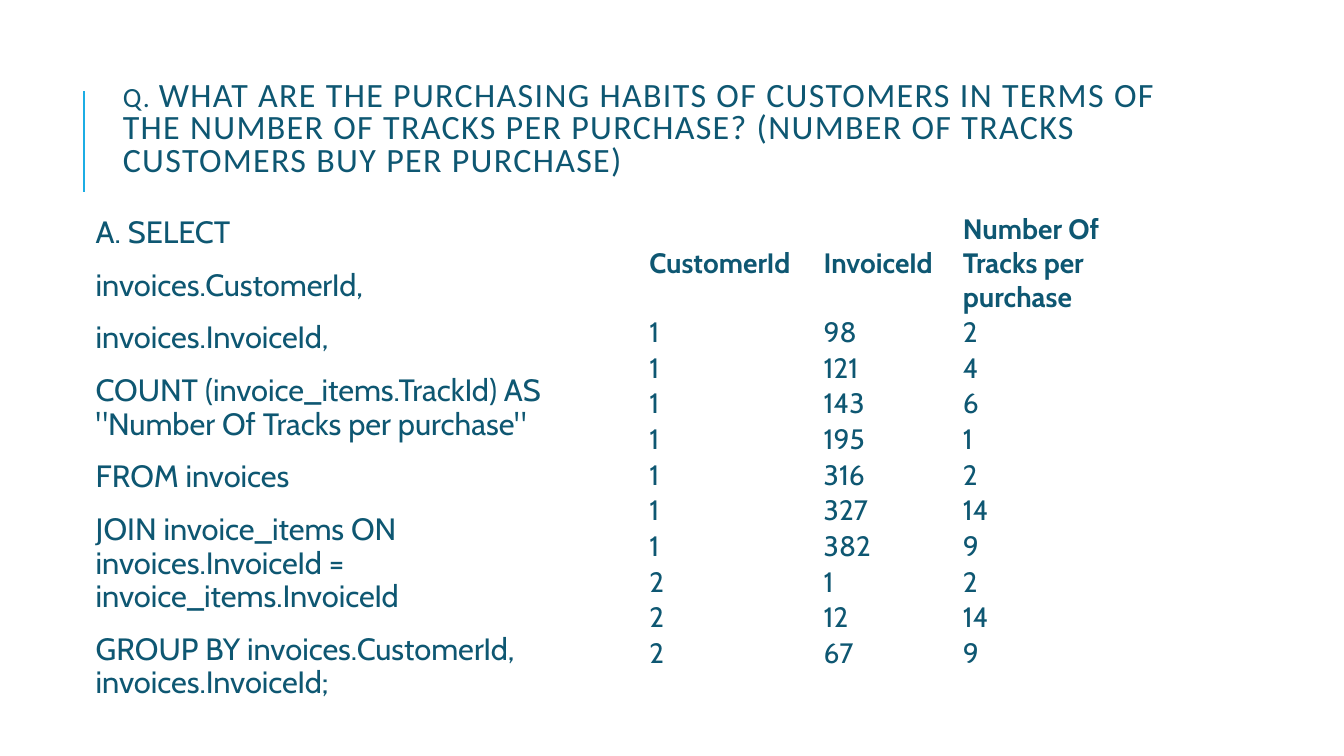
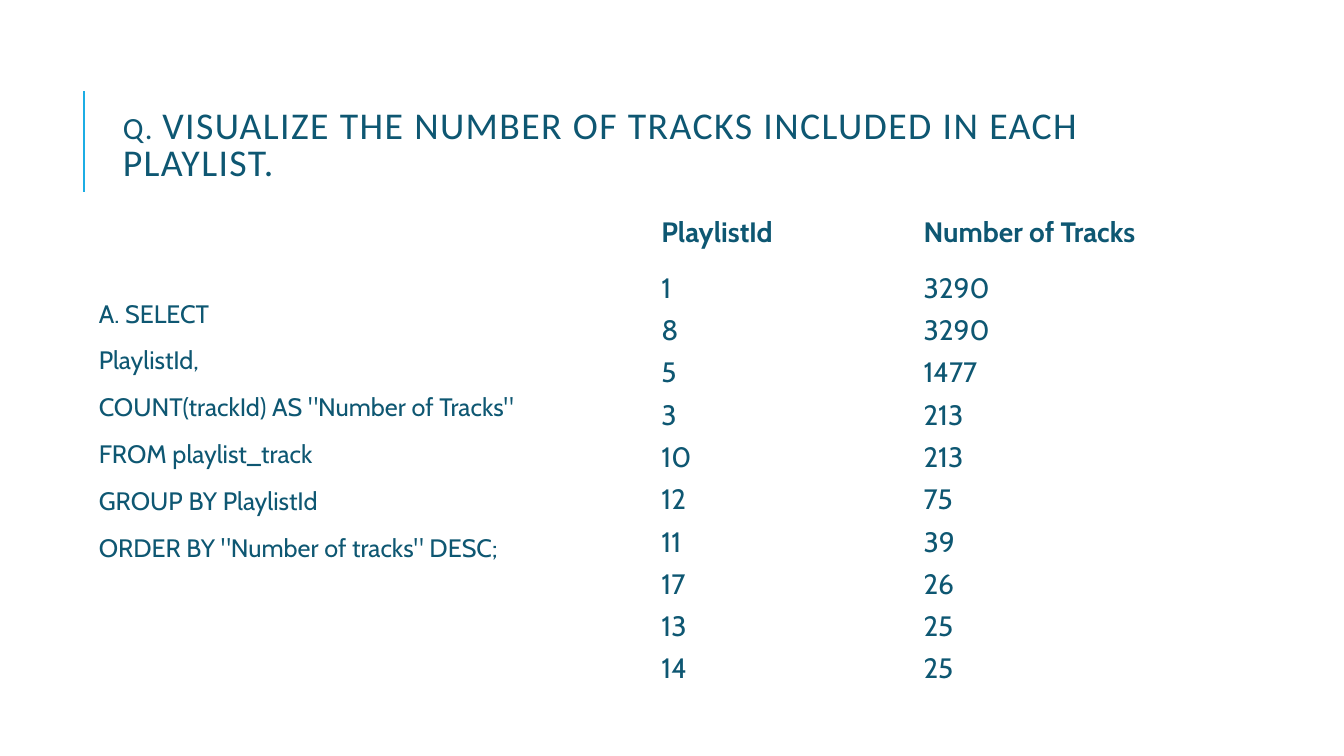
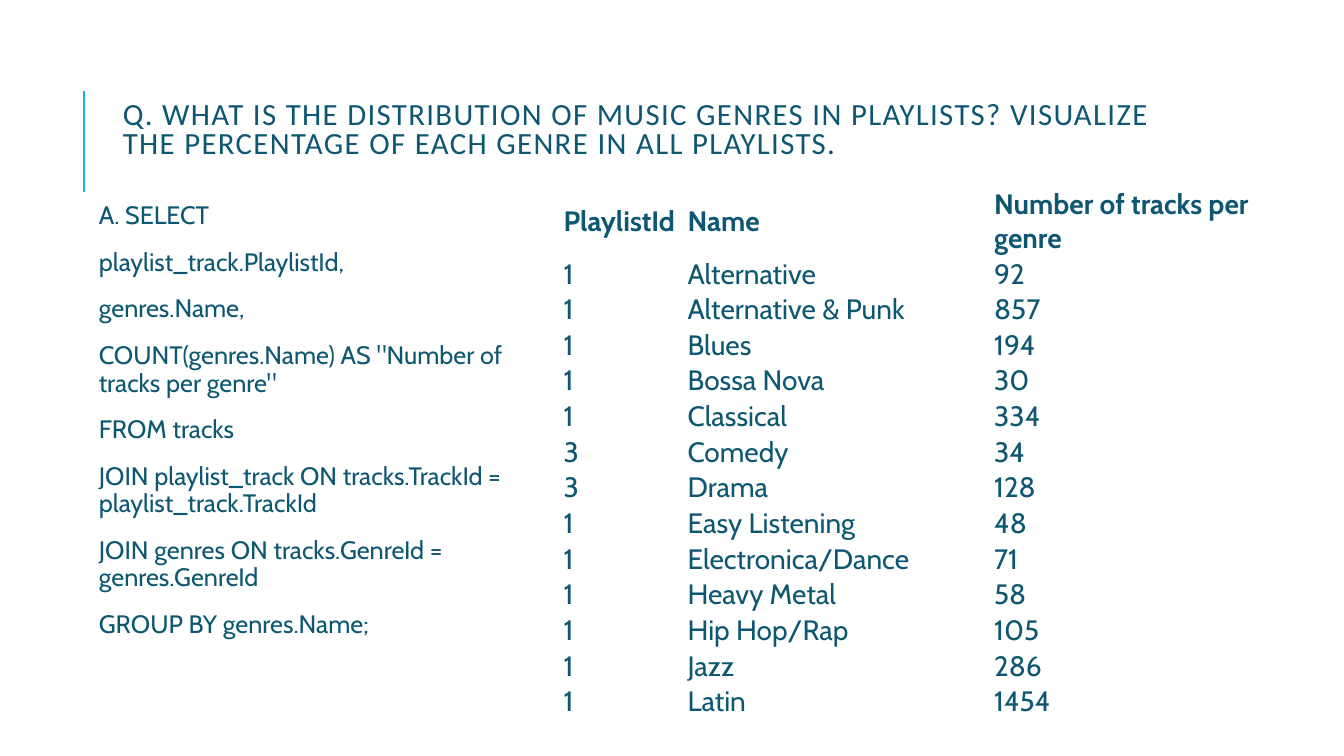
"""Builds three slides that pair a question and its SQL query with the result table."""
from dataclasses import dataclass

from lxml import etree
from pptx import Presentation
from pptx import util as u
from pptx.dml.color import RGBColor
from pptx.enum import shapes, text
from pptx.oxml import ns

INK = "0E5772"
ACCENT = "1CADE4"
PAPER = "FFFFFF"
TITLE_FONT = "Calibri"
BODY_FONT = "Cabin"
RESULT_SIZE = 20
CELL_INSET = 0.01


@dataclass
class Title:
    spans: list[tuple[str, float]]
    height: float = 1.64
    bottom_inset: float = 0.05


@dataclass
class Query:
    area: tuple[float, float, float, float]
    size: float
    lines: list[str]


@dataclass
class Result:
    left: float
    top: float
    columns: list[float]
    header_height: float
    row_height: float
    rows: list[tuple[str, ...]]


@dataclass
class Question:
    title: Title
    query: Query
    result: Result


QUESTIONS = [
    Question(
        Title([("Q. ", 19.8),
               ("WHAT ARE THE PURCHASING HABITS OF CUSTOMERS IN TERMS OF THE NUMBER OF TRACKS "
                "PER PURCHASE? (NUMBER OF TRACKS CUSTOMERS BUY PER PURCHASE)", 24.3)],
              bottom_inset=0.39),
        Query((0.8, 2.1, 5.46, 4.79), 22, [
            "A. SELECT",
            "invoices.CustomerId,",
            "invoices.InvoiceId,",
            'COUNT (invoice_items.TrackId) AS "Number Of Tracks per purchase"',
            "FROM invoices",
            "JOIN invoice_items ON invoices.InvoiceId = invoice_items.InvoiceId",
            "GROUP BY invoices.CustomerId, invoices.InvoiceId;",
        ]),
        Result(6.43, 2.1, [1.73, 1.38, 2.09], 1.0, 0.35, [
            ("CustomerId", "InvoiceId", "Number Of Tracks per purchase"),
            ("1", "98", "2"),
            ("1", "121", "4"),
            ("1", "143", "6"),
            ("1", "195", "1"),
            ("1", "316", "2"),
            ("1", "327", "14"),
            ("1", "382", "9"),
            ("2", "1", "2"),
            ("2", "12", "14"),
            ("2", "67", "9"),
        ]),
    ),
    Question(
        Title([("Q. ", 22),
               ("VISUALIZE THE NUMBER OF TRACKS INCLUDED IN EACH PLAYLIST.", 27)]),
        Query((0.83, 2.94, 5.34, 2.92), 18, [
            "A. SELECT",
            "PlaylistId,",
            'COUNT(trackId) AS "Number of Tracks"',
            "FROM playlist_track",
            "GROUP BY PlaylistId",
            'ORDER BY "Number of tracks" DESC;',
        ]),
        Result(6.55, 1.96, [2.6, 2.6], 0.69, 0.42, [
            ("PlaylistId", "Number of Tracks"),
            ("1", "3290"),
            ("8", "3290"),
            ("5", "1477"),
            ("3", "213"),
            ("10", "213"),
            ("12", "75"),
            ("11", "39"),
            ("17", "26"),
            ("13", "25"),
            ("14", "25"),
        ]),
    ),
    Question(
        Title([("Q. WHAT IS THE DISTRIBUTION OF MUSIC GENRES IN PLAYLISTS? VISUALIZE "
                "THE PERCENTAGE OF EACH GENRE IN ALL PLAYLISTS.", 22)], height=1.32),
        Query((0.83, 1.96, 4.45, 4.85), 18, [
            "A. SELECT",
            "playlist_track.PlaylistId,",
            "genres.Name,",
            'COUNT(genres.Name) AS "Number of tracks per genre"',
            "FROM tracks",
            "JOIN playlist_track ON tracks.TrackId = playlist_track.TrackId",
            "JOIN genres ON tracks.GenreId = genres.GenreId",
            "GROUP BY genres.Name;",
        ]),
        Result(5.58, 1.85, [1.23, 3.04, 3.1], 0.69, 0.35, [
            ("PlaylistId", "Name", "Number of tracks per genre"),
            ("1", "Alternative", "92"),
            ("1", "Alternative & Punk", "857"),
            ("1", "Blues", "194"),
            ("1", "Bossa Nova", "30"),
            ("1", "Classical", "334"),
            ("3", "Comedy", "34"),
            ("3", "Drama", "128"),
            ("1", "Easy Listening", "48"),
            ("1", "Electronica/Dance", "71"),
            ("1", "Heavy Metal", "58"),
            ("1", "Hip Hop/Rap", "105"),
            ("1", "Jazz", "286"),
            ("1", "Latin", "1454"),
        ]),
    ),
]


def colour(value: str) -> RGBColor:
    return RGBColor.from_string(value)


def add_span(para, words: str, *, size: float, font: str = BODY_FONT,
             bold: bool = False, spacing: float = 0) -> None:
    span = para.add_run()
    span.text = words
    span.font.name = font
    span.font.size = u.Pt(size)
    span.font.bold = bold
    span.font.color.rgb = colour(INK)
    if spacing:
        span._r.get_or_add_rPr().set("spc", str(round(spacing * 100)))


def add_box(page, area: tuple[float, float, float, float],
            insets: tuple[float, float, float, float], anchor):
    box = page.shapes.add_textbox(*map(u.Inches, area))
    frame = box.text_frame
    frame.word_wrap = True
    frame.vertical_anchor = anchor
    (frame.margin_left, frame.margin_top,
     frame.margin_right, frame.margin_bottom) = map(u.Inches, insets)
    return frame


def draw_rule(page) -> None:
    rule = page.shapes.add_connector(
        shapes.MSO_CONNECTOR.STRAIGHT, *map(u.Inches, (0.83, 1.9, 0.83, 0.9)))
    rule.line.color.rgb = colour(ACCENT)
    rule.line.width = u.Pt(1.5)
    etree.SubElement(rule._element.spPr, ns.qn("a:effectLst"))


def draw_title(page, title: Title) -> None:
    frame = add_box(page, (1.12, 0.64, 10.63, title.height),
                    (0.1, 0.05, 0.1, title.bottom_inset), text.MSO_ANCHOR.MIDDLE)
    para = frame.paragraphs[0]
    para.line_spacing = 0.8
    for words, size in title.spans:
        add_span(para, words, size=size, font=TITLE_FONT, spacing=1)


def draw_query(page, query: Query) -> None:
    frame = add_box(page, query.area, (0.15, 0.05, 0.05, 0.05), text.MSO_ANCHOR.TOP)
    for index, line in enumerate(query.lines):
        para = frame.add_paragraph() if index else frame.paragraphs[0]
        para.line_spacing = 0.9
        para.space_before = u.Pt(12)
        para.space_after = u.Pt(2)
        add_span(para, line, size=query.size)


def draw_result(page, result: Result) -> None:
    heights = [result.header_height] + [result.row_height] * (len(result.rows) - 1)
    area = (result.left, result.top, sum(result.columns), sum(heights))
    table = page.shapes.add_table(
        len(heights), len(result.columns), *map(u.Inches, area)).table
    table.first_row = table.horz_banding = False
    for column, width in zip(table.columns, result.columns):
        column.width = u.Inches(width)
    for index, (row, height, values) in enumerate(zip(table.rows, heights, result.rows)):
        row.height = u.Inches(height)
        for cell, value in zip(row.cells, values):
            cell.margin_left = cell.margin_right = u.Inches(CELL_INSET)
            cell.margin_top = cell.margin_bottom = u.Inches(CELL_INSET)
            cell.vertical_anchor = text.MSO_ANCHOR.MIDDLE
            if index:
                cell.fill.solid()
                cell.fill.fore_color.rgb = colour(PAPER)
            else:
                cell.fill.background()
            add_span(cell.text_frame.paragraphs[0], value, size=RESULT_SIZE, bold=index == 0)


def main() -> None:
    deck = Presentation()
    deck.slide_width = u.Inches(13.33)
    deck.slide_height = u.Inches(7.5)
    for question in QUESTIONS:
        page = deck.slides.add_slide(deck.slide_layouts[6])
        draw_rule(page)
        draw_title(page, question.title)
        draw_query(page, question.query)
        draw_result(page, question.result)
    deck.save("out.pptx")


if __name__ == "__main__":
    main()
